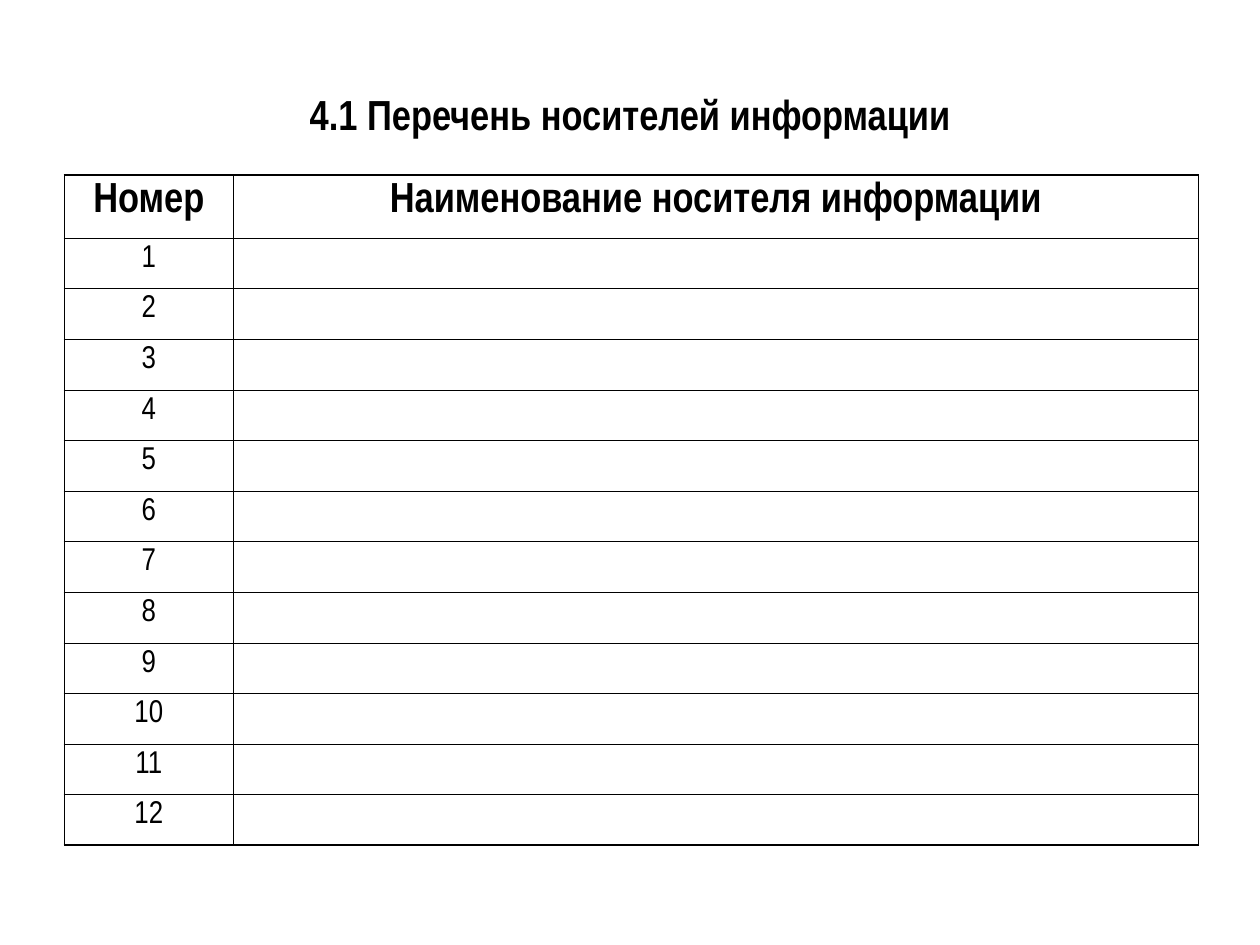
"""Build the slide with the numbered list of information carriers."""
from lxml import etree
from pptx import Presentation
from pptx import util as u
from pptx.dml.color import RGBColor
from pptx.enum import text
from pptx.oxml import ns

BLACK = RGBColor(0, 0, 0)
FONT = "Arial Narrow"
TITLE = "4.1 Перечень носителей информации"
HEADER = ("Номер", "Наименование носителя информации")
CARRIERS = [(str(number), "") for number in range(1, 13)]
ROWS = [HEADER, *CARRIERS]
COLUMN_WIDTHS = (u.Cm(3.4), u.Cm(19.46))
HEADER_HEIGHT, ROW_HEIGHT = u.Cm(1.27), u.Cm(1.02)
OUTER, INNER = u.Pt(1.08), u.Pt(0.45)


def style(para, size, bold):
    para.alignment = text.PP_ALIGN.CENTER
    para.font.name = FONT
    para.font.size = u.Pt(size)
    para.font.bold = bold
    para.font.color.rgb = BLACK


def set_borders(cell, widths):
    properties = cell._tc.get_or_add_tcPr()
    for position, (side, width) in enumerate(widths.items()):
        line = etree.Element(ns.qn(f"a:{side}"), w=str(int(width)))
        fill = etree.SubElement(line, ns.qn("a:solidFill"))
        etree.SubElement(fill, ns.qn("a:srgbClr"), val=str(BLACK))
        properties.insert(position, line)


def add_title(page):
    box = page.shapes.title
    box.left, box.top, box.width, box.height = u.Cm(1.27), u.Cm(1.47), u.Cm(22.86), u.Cm(1.85)
    box.text_frame.text = TITLE
    box.text_frame.vertical_anchor = text.MSO_ANCHOR.MIDDLE
    para = box.text_frame.paragraphs[0]
    para.line_spacing = u.Pt(23)
    style(para, 24, True)


def add_carrier_table(page):
    height = HEADER_HEIGHT + ROW_HEIGHT * len(CARRIERS)
    table = page.shapes.add_table(
        len(ROWS), len(HEADER), u.Cm(1.3), u.Cm(3.53), sum(COLUMN_WIDTHS), height
    ).table
    table.horz_banding = False
    for column, width in zip(table.columns, COLUMN_WIDTHS):
        column.width = width
    last_row, last_column = len(ROWS) - 1, len(HEADER) - 1
    for r, values in enumerate(ROWS):
        is_header = r == 0
        table.rows[r].height = HEADER_HEIGHT if is_header else ROW_HEIGHT
        for c, value in enumerate(values):
            cell = table.cell(r, c)
            cell.text = value
            cell.margin_bottom = 0
            cell.fill.background()
            style(cell.text_frame.paragraphs[0], 24 if is_header else 18, is_header)
            set_borders(cell, {
                "lnL": OUTER if c == 0 else INNER,
                "lnR": OUTER if c == last_column else INNER,
                "lnT": OUTER if is_header else INNER,
                "lnB": OUTER if r == last_row else INNER,
            })


def main():
    deck = Presentation()
    deck.slide_width, deck.slide_height = u.Cm(25.4), u.Cm(19.05)
    page = deck.slides.add_slide(deck.slide_layouts.get_by_name("Title Only"))
    add_title(page)
    add_carrier_table(page)
    deck.save("out.pptx")


if __name__ == "__main__":
    main()
